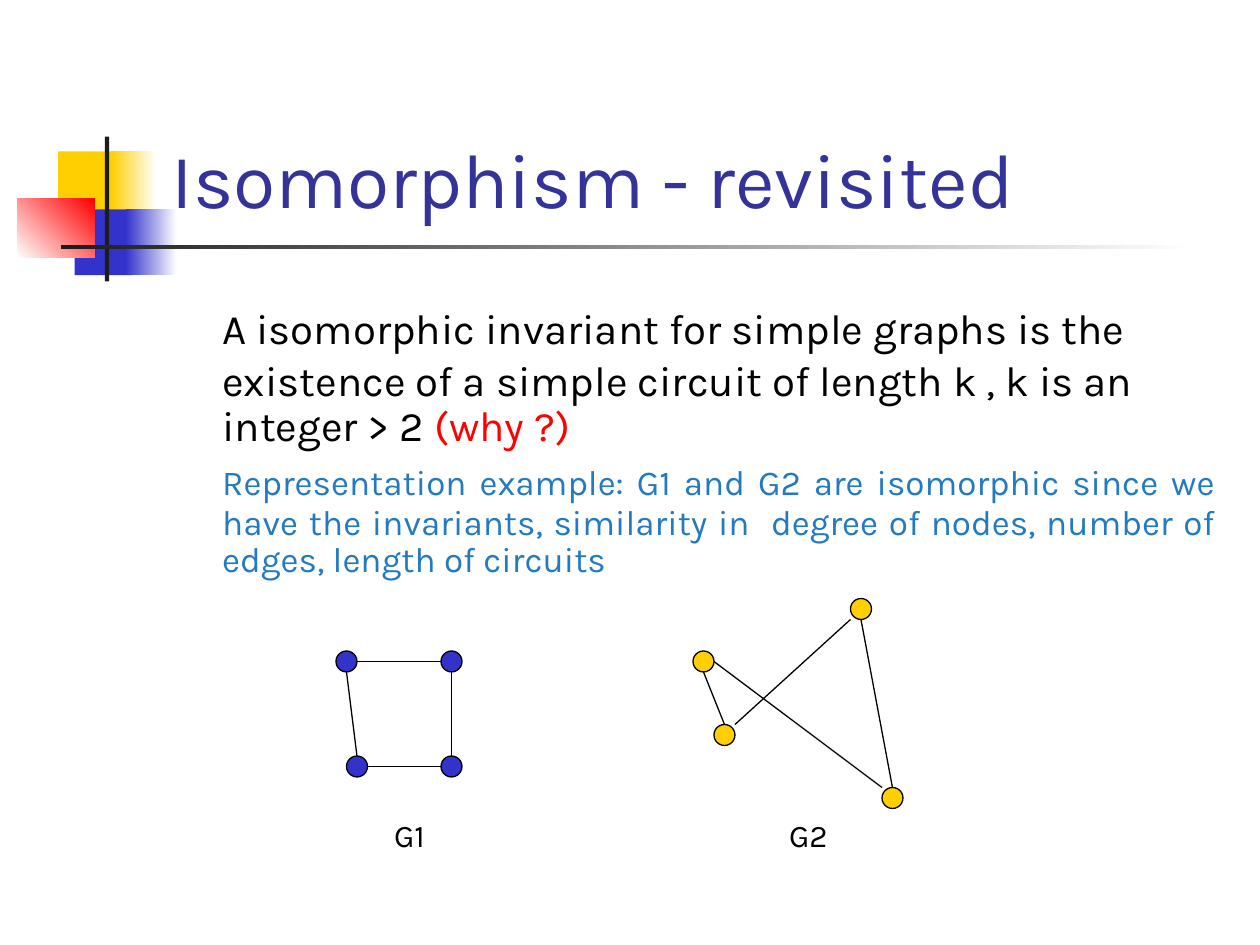
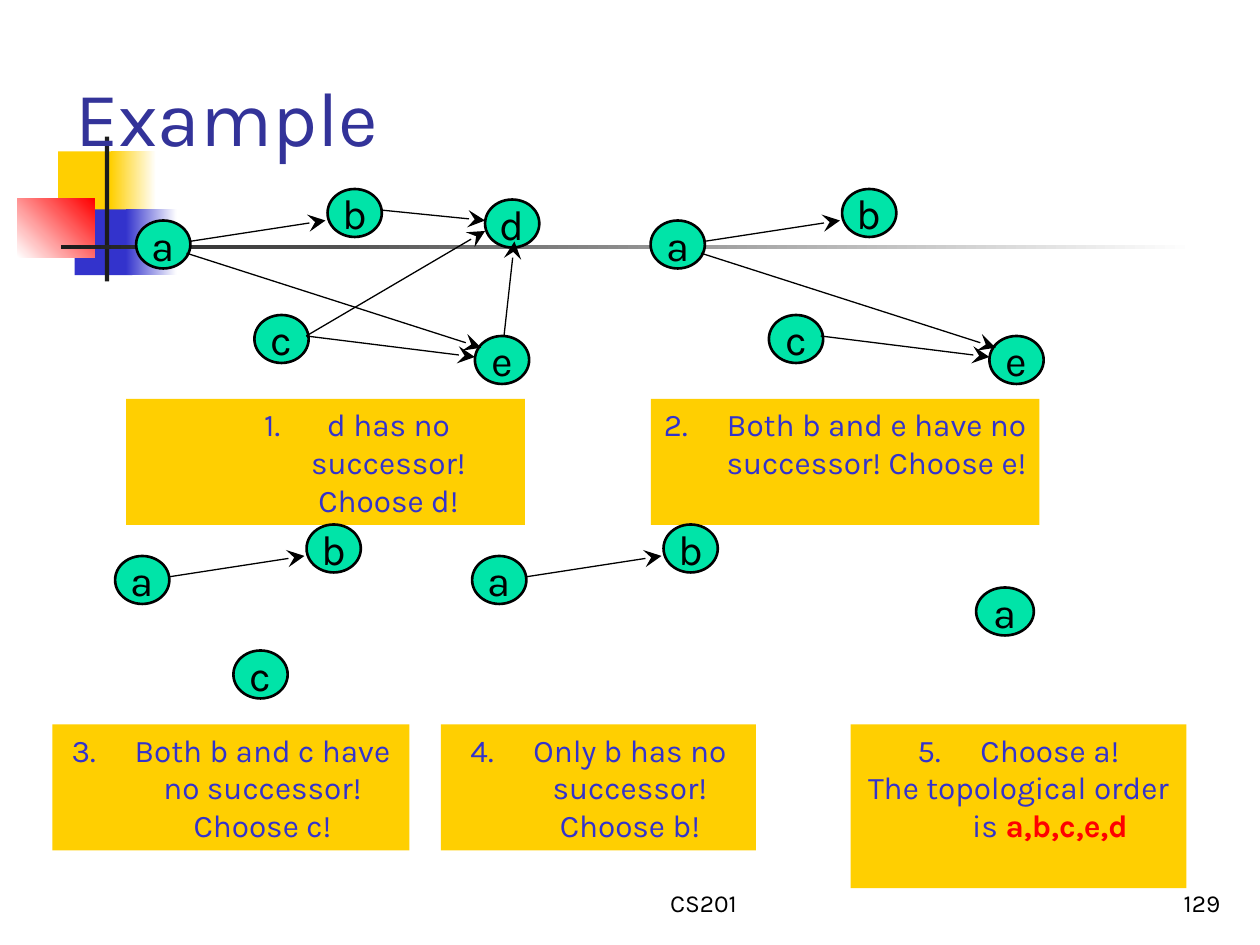
from lxml import etree
from pptx import Presentation
from pptx.dml.color import RGBColor
from pptx.enum.shapes import MSO_CONNECTOR, MSO_SHAPE
from pptx.enum.text import MSO_ANCHOR, PP_ALIGN
from pptx.oxml.ns import qn
from pptx.util import Pt

FONT = "Karla"
BLACK = RGBColor(0, 0, 0)
WHITE = RGBColor(0xFF, 0xFF, 0xFF)
RED = RGBColor(0xFF, 0, 0)
YELLOW = RGBColor(0xFF, 0xCF, 0x01)
BLUE = RGBColor(0x33, 0x33, 0xCC)
TITLE_BLUE = RGBColor(0x33, 0x33, 0x99)
EXAMPLE_BLUE = RGBColor(0x23, 0x7A, 0xC1)
CHARCOAL = RGBColor(0x1C, 0x1C, 0x1C)
GREEN = RGBColor(0, 0xE4, 0xA8)


def draw(s, kind, box, fill, weight=0):
    """Add a preset shape, outlined in black if a weight is given."""
    sp = s.shapes.add_shape(kind, *[Pt(v) for v in box])
    sp.shadow.inherit = False
    sp.fill.solid()
    sp.fill.fore_color.rgb = fill
    if weight:
        sp.line.color.rgb = BLACK
        sp.line.width = Pt(weight)
    else:
        sp.line.fill.background()
    return sp


def write(sp, paragraphs, align, anchor, wrap=True):
    """Fill a shape with paragraphs, each a list of (text, size, color) runs."""
    tf = sp.text_frame
    tf.word_wrap = wrap
    tf.vertical_anchor = anchor
    for i, runs in enumerate(paragraphs):
        p = tf.add_paragraph() if i else tf.paragraphs[0]
        p.alignment = align
        for text, size, color in runs:
            r = p.add_run()
            r.text = text
            r.font.name = FONT
            r.font.size = Pt(size)
            r.font.color.rgb = color
    return tf.paragraphs


prs = Presentation()
prs.slide_width, prs.slide_height = Pt(720), Pt(540)

# Shared decoration: box, first color, last color, gradient angle
DECORATION = [
    ((33.2, 86.5, 34.5, 37.5), YELLOW, None, 0),
    ((63.2, 86.5, 26, 37.5), YELLOW, WHITE, 0),
    ((42.7, 119.7, 33, 37.5), BLUE, None, 0),
    ((72, 119.7, 29, 37.5), BLUE, WHITE, 0),
    ((9.9, 113.7, 44.2, 33.2), WHITE, RED, 45),
    ((59.9, 78, 2.5, 82.8), CHARCOAL, None, 0),
    ((34.9, 140, 648, 2.5), CHARCOAL, WHITE, 0),
]
TITLES = [
    ("Isomorphism - revisited", (91, 16.5, 613, 115)),
    ("Example", (36, 21.5, 648, 74.5)),
]
for title, box in TITLES:
    s = prs.slides.add_slide(prs.slide_layouts[6])
    for area, first, last, angle in DECORATION:
        sp = draw(s, MSO_SHAPE.RECTANGLE, area, first)
        if last is not None:
            sp.fill.gradient()
            sp.fill.gradient_angle = angle
            for stop, color in zip(sp.fill.gradient_stops, (first, last)):
                stop.color.rgb = color
    sp = s.shapes.add_textbox(*[Pt(v) for v in box])
    write(sp, [[(title, 44, TITLE_BLUE)]], PP_ALIGN.LEFT, MSO_ANCHOR.BOTTOM)
isomorphism, example = prs.slides
edges = []  # slide, start, end, arrow

# Isomorphism: body text
sp = isomorphism.shapes.add_textbox(Pt(92.9), Pt(159), Pt(609), Pt(195))
body = write(sp, [
    [("\t", 40, BLACK),
     ("A isomorphic invariant for simple graphs is the existence of a simple "
      "circuit of length k , k is an integer > 2 ", 24, BLACK),
     ("(why ?)", 24, RED)],
    [("\t", 24, BLACK),
     ("Representation example: G1 and G2 are isomorphic since we have the "
      "invariants, similarity in  degree of nodes, number of edges, "
      "length of circuits", 20, EXAMPLE_BLUE)],
], PP_ALIGN.LEFT, MSO_ANCHOR.TOP)
for p in body:
    p.line_spacing = 0.9
    pPr = p._p.get_or_add_pPr()
    pPr.set("marL", str(Pt(27)))
    pPr.set("indent", str(Pt(-27)))
body[1].alignment = PP_ALIGN.JUSTIFY
body[1].space_before = Pt(5)

# Isomorphism: graphs G1 and G2
GRAPHS = [
    ("G1", 222, BLUE,
     [(252, 372), (252, 432), (192, 372), (198, 432)],
     [((204, 378), (252, 378)), ((258, 384), (258, 432)),
      ((252, 438), (210, 438)), ((198, 384), (204, 432))]),
    ("G2", 450, YELLOW,
     [(396, 372), (408, 414), (504, 450), (486, 342)],
     [((408, 378), (504, 450)), ((420, 414), (486, 354)),
      ((402, 384), (414, 414)), ((492, 354), (510, 450))]),
]
for name, label_x, color, nodes, sides in GRAPHS:
    for x, y in nodes:
        draw(isomorphism, MSO_SHAPE.OVAL, (x, y, 12, 12), color, 0.75)
    edges += [(isomorphism, start, end, False) for start, end in sides]
    sp = draw(isomorphism, MSO_SHAPE.RECTANGLE, (label_x, 468, 24, 18), WHITE)
    write(sp, [[(name, 18, BLACK)]], PP_ALIGN.CENTER, MSO_ANCHOR.MIDDLE, False)

# Example: footer
for text, x, width, align in [("CS201", 288, 228, PP_ALIGN.CENTER),
                              ("129", 554.4, 150, PP_ALIGN.RIGHT)]:
    sp = example.shapes.add_textbox(Pt(x), Pt(492), Pt(width), Pt(36))
    write(sp, [[(text, 14, BLACK)]], align, MSO_ANCHOR.BOTTOM)

# Example: the full graph, of which each step shows what is left
NODES = {"a": (77.8, 126), "b": (187.2, 108), "c": (145.4, 180),
         "d": (277.2, 114), "e": (271.4, 192)}
ARROWS = {"ab": ((108, 138), (186, 126)), "ae": ((106.6, 144.7), (275, 198.7)),
          "bd": ((217.4, 120), (277.2, 126)), "cd": ((175, 192), (277.2, 132)),
          "ce": ((175, 192), (271.4, 204)), "ed": ((288, 192), (294, 138))}

# Nodes left, graph offset, node width, caption box, margin, caption
STEPS = [
    ("abcde", (0, 0), 31, (72, 228, 228, 72), 72,
     "d has no successor! Choose d!"),
    ("abce", (294, 0), 31, (372, 228, 222, 72), 36,
     "Both b and e have no successor! Choose e!"),
    ("abc", (-12, 191.7), 31, (30, 414, 204, 72), 36,
     "Both b and c have no successor! Choose c!"),
    ("ab", (192, 191.7), 31, (252, 414, 180, 72), 36,
     "Only b has no successor! Choose b!"),
    ("a", (480, 209.7), 33, (486, 414, 192, 93.6), 36, "Choose a!"),
]
for number, (left, (dx, dy), width, box, margin, text) in enumerate(STEPS, 1):
    sp = draw(example, MSO_SHAPE.RECTANGLE, box, YELLOW)
    lines = [[(text, 18, BLUE)]]
    if number == len(STEPS):
        lines.append([("The topological order is ", 18, BLUE),
                      ("a,b,c,e,d", 18, RED)])
    caption = write(sp, lines, PP_ALIGN.CENTER, MSO_ANCHOR.TOP)
    for p in caption:
        pPr = p._p.get_or_add_pPr()
        pPr.set("marL", str(Pt(margin)))
        pPr.set("indent", str(Pt(-36)))
    pPr = caption[0]._p.get_or_add_pPr()
    etree.SubElement(pPr, qn("a:buAutoNum"), type="arabicPeriod",
                     startAt=str(number))
    for p in caption[1:]:
        p.runs[-1].font.bold = True

    for name in left:
        x, y = NODES[name]
        sp = draw(example, MSO_SHAPE.OVAL, (x + dx, y + dy, width, 27.4),
                  GREEN, 1.5)
        write(sp, [[(name, 24, BLACK)]], PP_ALIGN.CENTER, MSO_ANCHOR.MIDDLE,
              False)
    for (tail, head), ((x1, y1), (x2, y2)) in ARROWS.items():
        if tail in left and head in left:
            edges.append((example, (x1 + dx, y1 + dy), (x2 + dx, y2 + dy), True))

# Edges of all graphs
for s, start, end, arrow in edges:
    line = s.shapes.add_connector(MSO_CONNECTOR.STRAIGHT,
                                  *[Pt(v) for v in start + end])
    line.line.color.rgb = BLACK
    line.line.width = Pt(0.75)
    if arrow:
        etree.SubElement(line.line._get_or_add_ln(), qn("a:tailEnd"),
                         type="stealth", w="lg", len="lg")
    etree.SubElement(line._element.spPr, qn("a:effectLst"))

prs.save("out.pptx")
